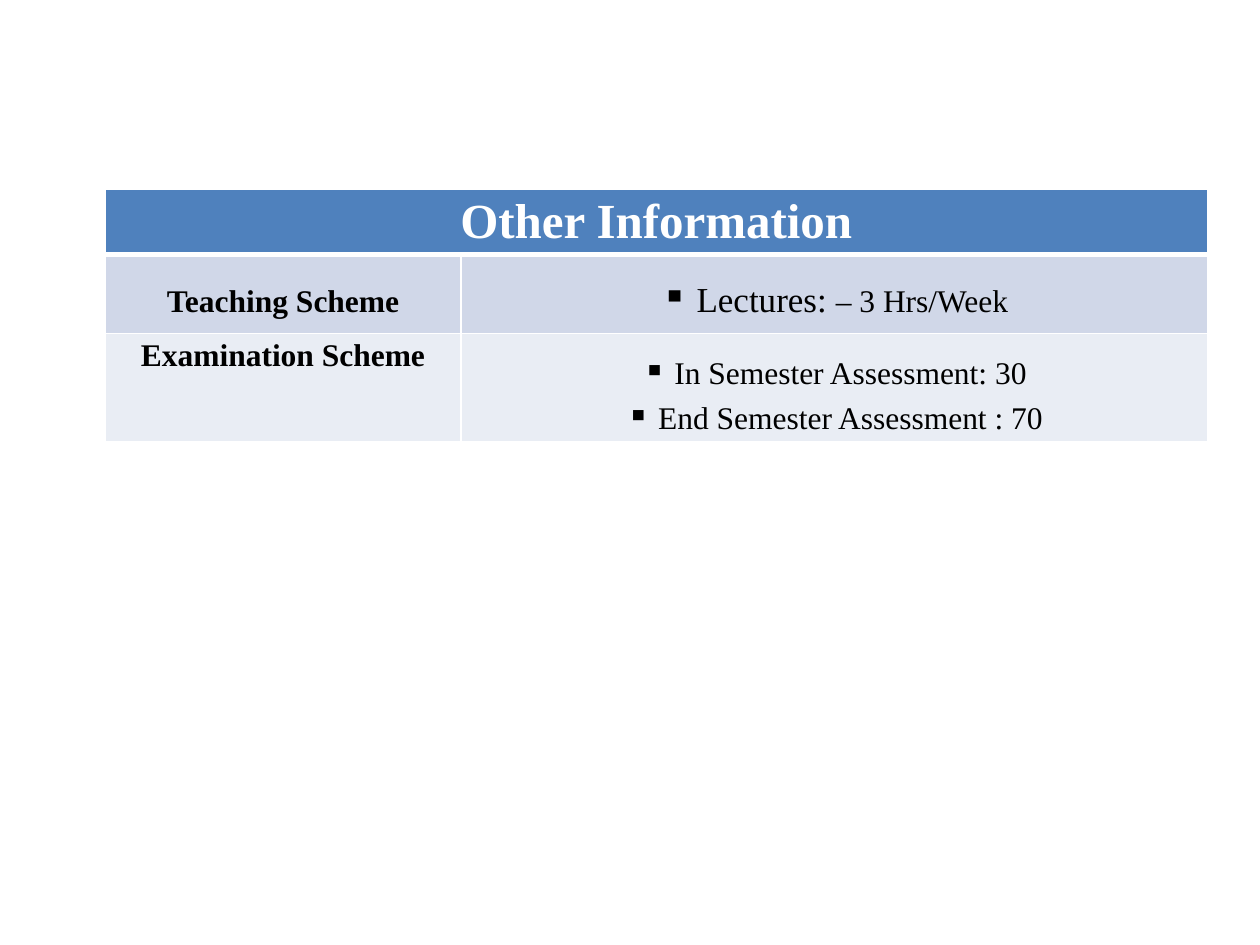
from lxml.etree import SubElement
from pptx import Presentation
from pptx.dml.color import RGBColor
from pptx.enum.text import MSO_ANCHOR, PP_ALIGN
from pptx.oxml.ns import qn
from pptx.util import Pt

WHITE = RGBColor(0xFF, 0xFF, 0xFF)
BLACK = RGBColor(0x00, 0x00, 0x00)
BLUE = RGBColor(0x4F, 0x81, 0xBD)
BLUE_GREY = RGBColor(0xD0, 0xD7, 0xE8)
PALE_GREY = RGBColor(0xE9, 0xED, 0xF4)
FONT = "Times New Roman"


def style_cell(cell, color, top_width, bottom_width):
    """Draw white borders, then fill the cell; the schema wants that order."""
    properties = cell._tc.get_or_add_tcPr()
    widths = {"a:lnL": 1, "a:lnR": 1, "a:lnT": top_width, "a:lnB": bottom_width}
    for tag, width in widths.items():
        line = SubElement(properties, qn(tag), w=str(Pt(width)))
        line_fill = SubElement(line, qn("a:solidFill"))
        SubElement(line_fill, qn("a:srgbClr"), val=str(WHITE))
    cell.fill.solid()
    cell.fill.fore_color.rgb = color


def add_line(para, spans, bold, color, bullet):
    """Write (text, size) spans into a centred paragraph."""
    para.alignment = PP_ALIGN.CENTER
    if bullet:
        properties = para._p.get_or_add_pPr()
        properties.set("marL", str(Pt(0.72)))
        properties.set("indent", "0")
        SubElement(properties, qn("a:buChar"), char="▪")
    for text, size in spans:
        span = para.add_run()
        span.text = text
        span.font.name = FONT
        span.font.size = Pt(size)
        span.font.bold = bold
        span.font.color.rgb = color


deck = Presentation()
deck.slide_width, deck.slide_height = Pt(720), Pt(540)
page = deck.slides.add_slide(deck.slide_layouts[6])

column_widths = [203.5, 426.5]
row_heights = [37.5, 45, 62]
table = page.shapes.add_table(
    3, 2, Pt(60), Pt(108), Pt(sum(column_widths)), Pt(sum(row_heights))
).table
for column, width in zip(table.columns, column_widths):
    column.width = Pt(width)
for row, height in zip(table.rows, row_heights):
    row.height = Pt(height)

# Header across both columns
for cell in table.rows[0].cells:
    style_cell(cell, BLUE, 1, 3)
header = table.cell(0, 0)
header.merge(table.cell(0, 1))
header.margin_top = header.margin_bottom = 0
header.vertical_anchor = MSO_ANCHOR.MIDDLE
add_line(header.text_frame.paragraphs[0], [("Other Information", 28)], True, WHITE, False)

# Each line: spans, line spacing, space before
body_rows = [
    (BLUE_GREY, 3, [
        [([("Teaching Scheme", 18)], Pt(33.6), 1.7)],
        [([(" Lectures: ", 20), ("– 3 Hrs/Week", 18)], Pt(33.6), 1.7)],
    ]),
    (PALE_GREY, 1, [
        [([("Examination Scheme", 18)], 0.96, 9.2)],
        [
            ([(" In Semester Assessment: 30", 18)], Pt(29.6), 1.5),
            ([(" End Semester Assessment : 70", 18)], 0.96, 6.7),
        ],
    ]),
]
for row, (color, top_width, cell_lines) in zip(list(table.rows)[1:], body_rows):
    for column_index, (cell, lines) in enumerate(zip(row.cells, cell_lines)):
        style_cell(cell, color, top_width, 1)
        cell.margin_top, cell.margin_bottom = Pt(3.6), Pt(2)
        frame = cell.text_frame
        for line_index, (spans, line_spacing, space_before) in enumerate(lines):
            para = frame.add_paragraph() if line_index else frame.paragraphs[0]
            para.line_spacing = line_spacing
            para.space_before = Pt(space_before)
            is_label = column_index == 0
            add_line(para, spans, is_label, BLACK, not is_label)

deck.save("out.pptx")
